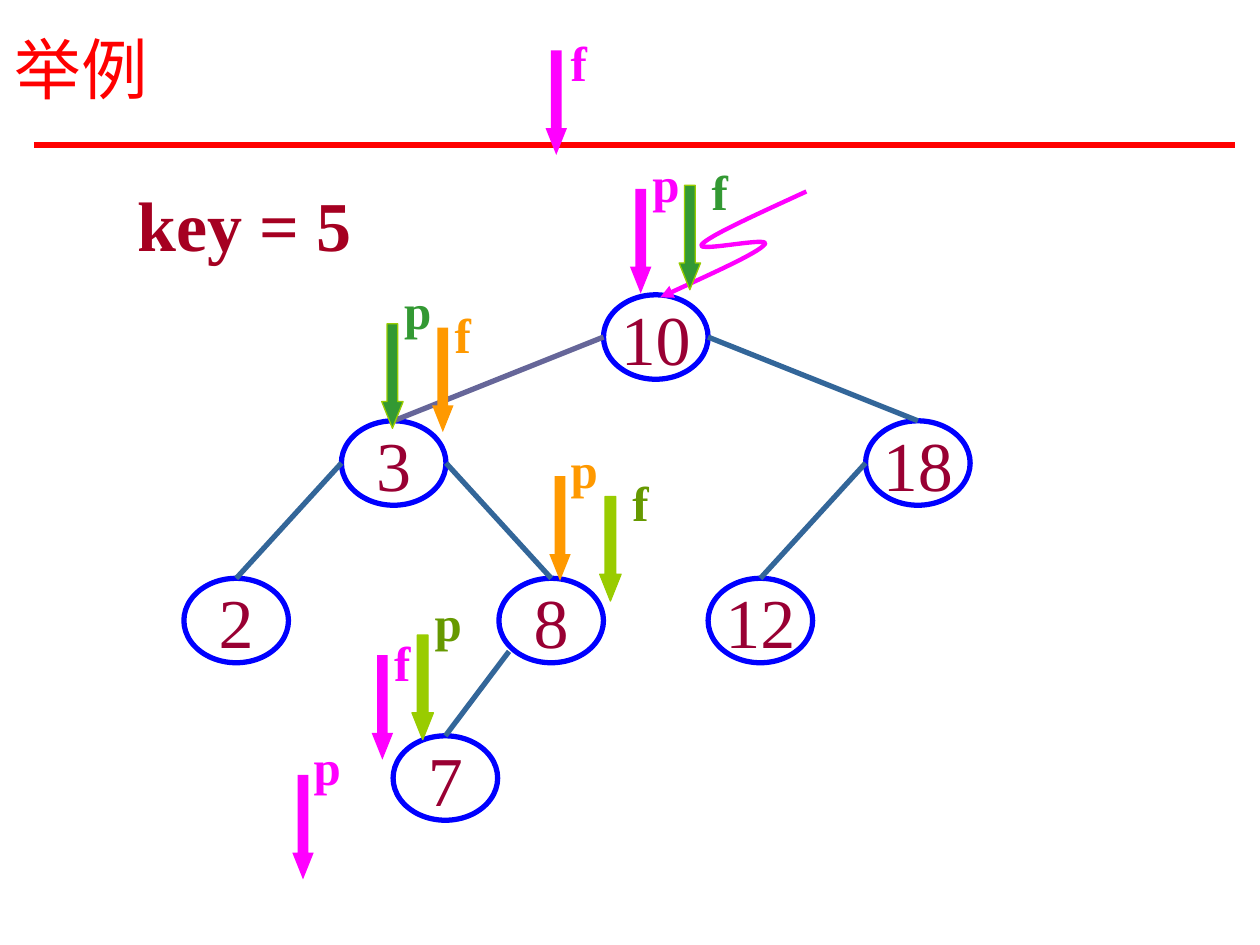
from dataclasses import dataclass
from typing import Optional

from lxml import etree
from pptx import Presentation
from pptx.dml.color import RGBColor
from pptx.enum import shapes, text
from pptx.oxml import ns
from pptx.util import Inches, Pt


@dataclass(frozen=True)
class Theme:
    serif: str = "Times New Roman"
    cjk: str = "Noto Sans CJK SC"
    title_size: int = 38
    key_size: int = 40
    pointer_size: int = 28
    line_width: float = 3
    red: str = "FF0000"
    dark_red: str = "A50021"
    node_text: str = "990033"
    node_line: str = "0000FF"
    edge: str = "336699"
    left_edge: str = "666699"
    magenta: str = "FF00FF"
    green: str = "339933"
    orange: str = "FF9900"
    lime: str = "99CC00"
    olive: str = "669900"


@dataclass(frozen=True)
class Node:
    value: str
    left: float
    top: float


@dataclass(frozen=True)
class Edge:
    parent: str
    child: str
    color: str
    start: Optional[tuple[float, float]] = None


@dataclass(frozen=True)
class Pointer:
    label: str
    arrow: tuple[float, float]
    label_at: tuple[float, float]
    fill: str
    ink: str
    outline: Optional[str] = None


THEME = Theme()
NODE_W, NODE_H = 0.83, 0.67
ARROW_W, ARROW_H = 0.17, 0.83
LABEL_WIDTHS = {"p": 0.41, "f": 0.33}

NODES = {node.value: node for node in (
    Node("10", 4.79, 2.34),
    Node("3", 2.71, 3.34),
    Node("2", 1.46, 4.59),
    Node("18", 6.87, 3.34),
    Node("12", 5.62, 4.59),
    Node("8", 3.96, 4.59),
    Node("7", 3.12, 5.84),
)}
EDGES = (
    Edge("10", "3", THEME.left_edge),
    Edge("10", "18", THEME.edge),
    Edge("3", "2", THEME.edge),
    Edge("3", "8", THEME.edge),
    Edge("8", "7", THEME.edge, start=(4.04, 5.17)),
    Edge("18", "12", THEME.edge),
)
POINTERS = (
    Pointer("p", (5, 1.5), (5.08, 1.17), THEME.magenta, THEME.magenta),
    Pointer("f", (4.33, 0.4), (4.43, 0.21), THEME.magenta, THEME.magenta),
    Pointer("p", (3.03, 2.57), (3.11, 2.18), THEME.green, THEME.green, THEME.lime),
    Pointer("f", (5.39, 1.47), (5.55, 1.23), THEME.green, THEME.green, THEME.lime),
    Pointer("f", (3.43, 2.6), (3.51, 2.37), THEME.orange, THEME.orange),
    Pointer("p", (4.36, 3.78), (4.43, 3.44), THEME.orange, THEME.orange),
    Pointer("f", (4.76, 3.94), (4.92, 3.7), THEME.lime, THEME.olive, THEME.lime),
    Pointer("p", (3.27, 5.04), (3.35, 4.65), THEME.lime, THEME.olive, THEME.lime),
    Pointer("f", (2.95, 5.2), (3.03, 4.97), THEME.magenta, THEME.magenta),
    Pointer("p", (2.32, 6.15), (2.39, 5.8), THEME.magenta, THEME.magenta),
)
# Start point, then two control points and an end point per curve
SQUIGGLE = (
    (6.4, 1.52),
    (6.01, 1.7), (5.63, 1.87), (5.57, 1.94),
    (5.51, 2.01), (6.13, 1.87), (6.07, 1.94),
    (6.01, 2.01), (5.63, 2.18), (5.24, 2.36),
)


def rgb(color: str) -> RGBColor:
    return RGBColor.from_string(color)


def add_run(paragraph, words: str, size: float, color: str,
            bold: bool = False, font: str = THEME.serif) -> None:
    run = paragraph.add_run()
    run.text = words
    run.font.size = Pt(size)
    run.font.name = font
    run.font.bold = bold
    run.font.color.rgb = rgb(color)
    east_asian = etree.SubElement(run.font._element, ns.qn("a:ea"))
    east_asian.set("typeface", font)


def add_label(slide, left: float, top: float, width: float, height: float,
              words: str, size: float, color: str, bold: bool = True,
              font: str = THEME.serif, wrap: bool = False,
              anchor=text.MSO_ANCHOR.TOP) -> None:
    box = slide.shapes.add_textbox(*map(Inches, (left, top, width, height)))
    box.text_frame.word_wrap = wrap
    box.text_frame.vertical_anchor = anchor
    add_run(box.text_frame.paragraphs[0], words, size, color, bold, font)


def add_line(slide, start: tuple[float, float], end: tuple[float, float], color: str) -> None:
    line = slide.shapes.add_connector(
        shapes.MSO_CONNECTOR.STRAIGHT, *map(Inches, (*start, *end)))
    line.line.color.rgb = rgb(color)
    line.line.width = Pt(THEME.line_width)
    etree.SubElement(line._element.spPr, ns.qn("a:effectLst"))


def add_node(slide, node: Node) -> None:
    oval = slide.shapes.add_shape(
        shapes.MSO_SHAPE.OVAL, *map(Inches, (node.left, node.top, NODE_W, NODE_H)))
    oval.shadow.inherit = False
    oval.fill.background()
    oval.line.color.rgb = rgb(THEME.node_line)
    oval.line.width = Pt(THEME.line_width)
    frame = oval.text_frame
    frame.word_wrap = False
    frame.vertical_anchor = text.MSO_ANCHOR.MIDDLE
    frame.paragraphs[0].alignment = text.PP_ALIGN.CENTER
    add_run(frame.paragraphs[0], node.value, THEME.key_size, THEME.node_text)


def add_edge(slide, edge: Edge) -> None:
    parent, child = NODES[edge.parent], NODES[edge.child]
    side = parent.left + (NODE_W if child.left > parent.left else 0)
    start = edge.start or (side, parent.top + NODE_H / 2)
    add_line(slide, start, (child.left + NODE_W / 2, child.top), edge.color)


def add_pointer(slide, pointer: Pointer) -> None:
    arrow = slide.shapes.add_shape(
        shapes.MSO_SHAPE.DOWN_ARROW, *map(Inches, (*pointer.arrow, ARROW_W, ARROW_H)))
    arrow.shadow.inherit = False
    arrow.adjustments[0], arrow.adjustments[1] = 0.5, 1.25
    arrow.fill.solid()
    arrow.fill.fore_color.rgb = rgb(pointer.fill)
    if pointer.outline:
        arrow.line.color.rgb = rgb(pointer.outline)
        arrow.line.width = Pt(0.75)
    else:
        arrow.line.fill.background()
    add_label(slide, *pointer.label_at, LABEL_WIDTHS[pointer.label], 0.57,
              pointer.label, THEME.pointer_size, pointer.ink)


def add_squiggle(slide) -> None:
    start, *rest = [(Inches(x), Inches(y)) for x, y in SQUIGGLE]
    builder = slide.shapes.build_freeform(*start)
    builder.add_line_segments(rest, close=False)
    curve = builder.convert_to_shape()
    curve.shadow.inherit = False
    curve.fill.background()
    curve.line.color.rgb = rgb(THEME.magenta)
    curve.line.width = Pt(2.5)
    # Turn each three straight segments into one cubic curve
    segments = list(curve._element.iter(ns.qn("a:lnTo")))
    path = segments[0].getparent()
    for first in range(0, len(segments), 3):
        cubic = etree.SubElement(path, ns.qn("a:cubicBezTo"))
        for segment in segments[first:first + 3]:
            cubic.append(segment[0])
            path.remove(segment)
    etree.SubElement(curve.line._get_or_add_ln(), ns.qn("a:tailEnd")).set("type", "triangle")


def main() -> None:
    deck = Presentation()
    deck.slide_width, deck.slide_height = Inches(10), Inches(7.5)
    slide = deck.slides.add_slide(deck.slide_layouts[6])

    # Rule under the title
    add_line(slide, (0.27, 1.15), (9.8, 1.15), THEME.red)

    # Search tree
    for node in NODES.values():
        add_node(slide, node)
    for edge in EDGES:
        add_edge(slide, edge)

    # Search key and the pointers that follow it
    add_label(slide, 0.99, 1.39, 4.59, 0.77, "key = 5", THEME.key_size,
              THEME.dark_red, wrap=True)
    add_squiggle(slide)
    for pointer in POINTERS:
        add_pointer(slide, pointer)

    # Title
    add_label(slide, 0.02, 0, 9, 1.07, "举例", THEME.title_size, THEME.red, bold=False,
              font=THEME.cjk, wrap=True, anchor=text.MSO_ANCHOR.MIDDLE)
    deck.save("out.pptx")


if __name__ == "__main__":
    main()
